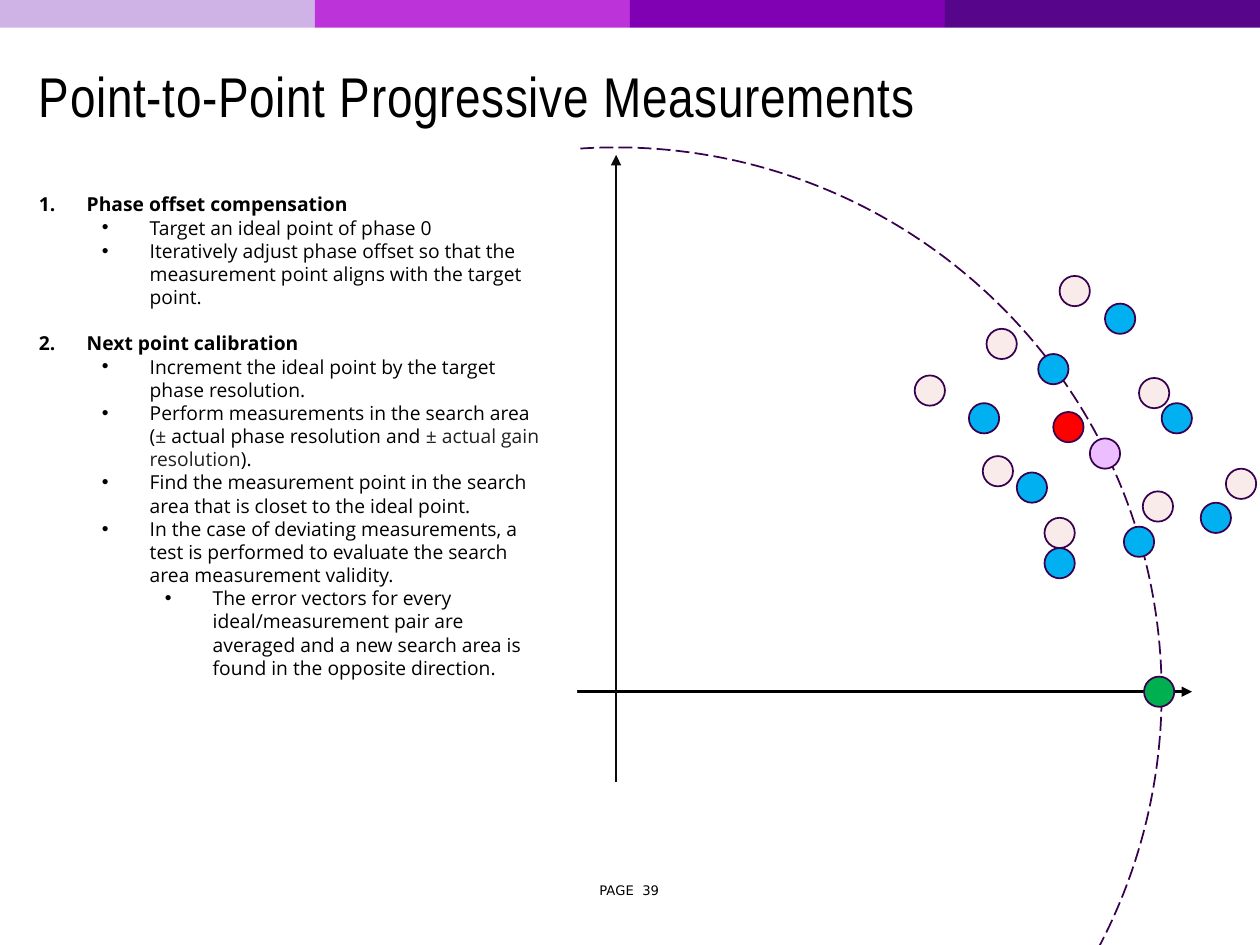
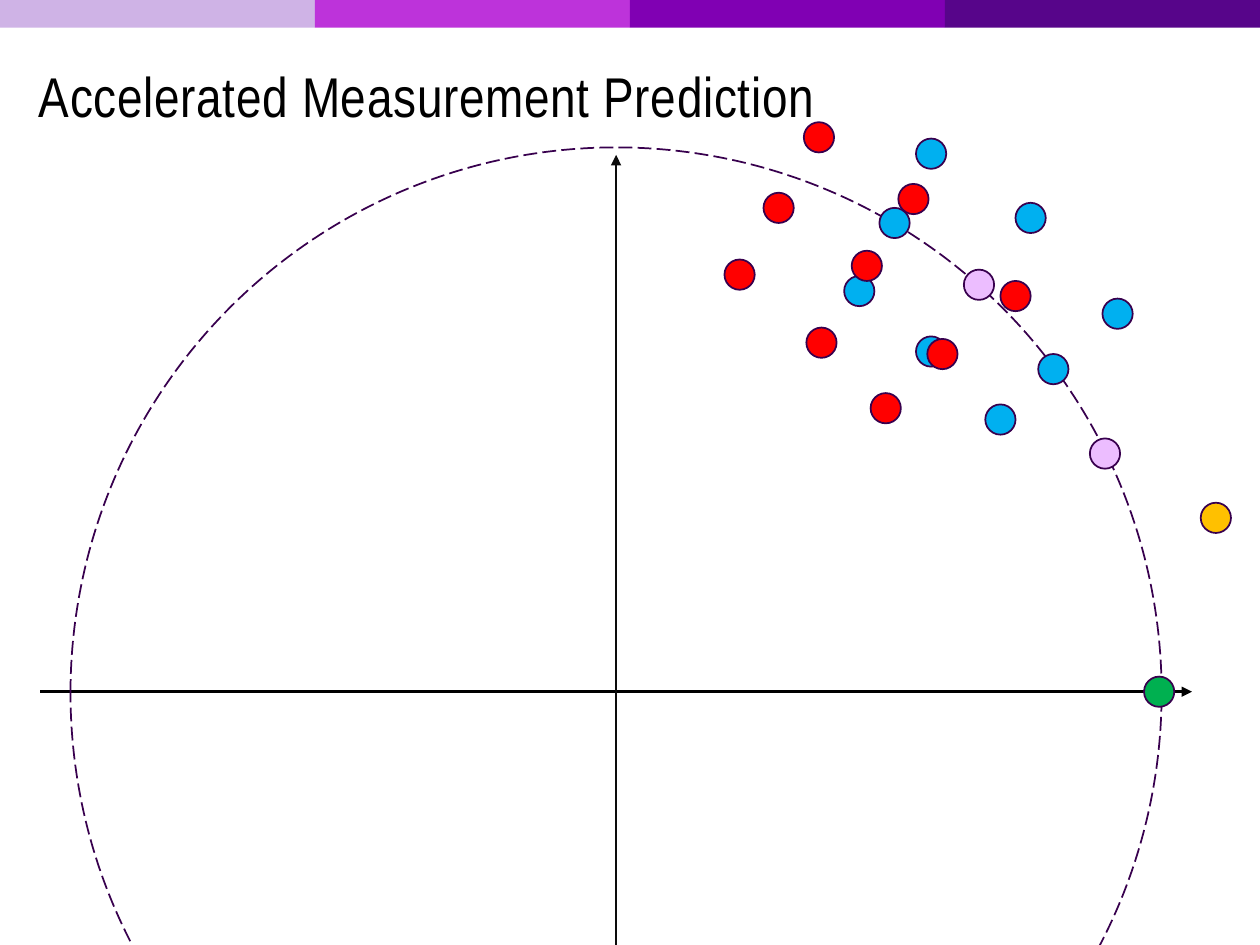
from dataclasses import dataclass

from lxml.etree import SubElement
from pptx import Presentation
from pptx.dml.color import RGBColor
from pptx.enum.dml import MSO_LINE
from pptx.enum.shapes import MSO_CONNECTOR, MSO_SHAPE
from pptx.enum.text import MSO_ANCHOR as Anchor, PP_ALIGN as Align
from pptx.oxml.ns import qn
from pptx.util import Inches, Pt

BLACK = RGBColor(0x00, 0x00, 0x00)
NEAR_BLACK = RGBColor(0x0C, 0x0C, 0x0C)
CHARCOAL = RGBColor(0x20, 0x21, 0x22)
WHITE = RGBColor(0xFF, 0xFF, 0xFF)
OUTLINE = RGBColor(0x38, 0x00, 0x4E)
GREEN = RGBColor(0x00, 0xB0, 0x50)
LILAC = RGBColor(0xEC, 0xBD, 0xFF)
BLUE = RGBColor(0x00, 0xB0, 0xF0)
BLUSH = RGBColor(0xFA, 0xEB, 0xEB)
RED = RGBColor(0xFF, 0x00, 0x00)
AMBER = RGBColor(0xFF, 0xC0, 0x00)
BAND_COLOURS = [
    RGBColor(0xCF, 0xB3, 0xE6),
    RGBColor(0xBD, 0x33, 0xDA),
    RGBColor(0x80, 0x00, 0xB3),
    RGBColor(0x57, 0x05, 0x8A),
]

TITLE_FONT, BODY_FONT, PAGE_FONT = "Arial Narrow", "Open Sans", "DejaVu Sans"
SLIDE_W, SLIDE_H = 10, 7.5
ORIGIN_X, ORIGIN_Y, RADIUS = 4.89, 5.5, 4.33
AXIS_TOP, AXIS_RIGHT = 1.23, 9.46
DOT = 0.24
BODY_LINE = Pt(13.23)


@dataclass
class DotGroup:
    """Dots of one colour, each given by its left and top."""
    colour: RGBColor
    spots: list[tuple[float, float]]


@dataclass
class Step:
    """One list entry; a number makes it a numbered heading."""
    level: int
    phrases: list[tuple[str, RGBColor]]
    number: int = 0


def heading(number: int, text: str) -> Step:
    return Step(0, [(text, BLACK)], number)


def point(text: str, level: int = 1) -> Step:
    return Step(level, [(text, BLACK)])


STEPS = [
    heading(1, "Phase offset compensation"),
    point("Target an ideal point of phase 0"),
    point("Iteratively adjust phase offset so that the measurement point "
          "aligns with the target point."),
    heading(2, "Next point calibration"),
    point("Increment the ideal point by the target phase resolution."),
    Step(1, [
        ("Perform measurements in the search area (", BLACK),
        ("±", CHARCOAL),
        (" actual phase resolution and ", BLACK),
        ("± actual gain resolution", CHARCOAL),
        (").", BLACK),
    ]),
    point("Find the measurement point in the search area that is closet to "
          "the ideal point."),
    point("In the case of deviating measurements, a test is performed to "
          "evaluate the search area measurement validity."),
    point("The error vectors for every ideal/measurement pair are averaged "
          "and a new search area is found in the opposite direction.", 2),
]

START_DOTS = [DotGroup(GREEN, [(9.08, 5.37)]), DotGroup(LILAC, [(8.65, 3.48)])]
PROGRESSIVE_DOTS = START_DOTS + [
    DotGroup(BLUE, [(7.69, 3.2), (8.92, 4.18), (8.29, 4.35), (8.07, 3.75),
                    (8.24, 2.81), (8.77, 2.41), (9.22, 3.2), (9.53, 3.99)]),
    DotGroup(BLUSH, [(7.26, 2.98), (7.83, 2.61), (8.41, 2.19), (7.8, 3.62),
                     (9.04, 3), (8.29, 4.11), (9.07, 3.9), (9.73, 3.72)]),
    DotGroup(RED, [(8.36, 3.27)]),
]
PREDICTION_DOTS = START_DOTS + [
    DotGroup(BLUE, [(7.82, 3.21), (7.27, 2.67), (6.7, 2.19), (8.75, 2.37),
                    (8.24, 2.81), (7.27, 1.1), (8.06, 1.61), (6.98, 1.65)]),
    DotGroup(RED, [(5.75, 2.06), (6.06, 1.53), (6.38, 0.97), (6.4, 2.6),
                   (7.13, 1.46), (6.76, 1.99), (6.91, 3.12), (7.36, 2.69),
                   (7.94, 2.23)]),
    DotGroup(LILAC, [(7.65, 2.14)]),
    DotGroup(AMBER, [(9.53, 3.99)]),
]


def add_figure(slide, kind, left: float, top: float, width: float, height: float,
               fill: RGBColor | None = None, line: RGBColor | None = None):
    figure = slide.shapes.add_shape(
        kind, Inches(left), Inches(top), Inches(width), Inches(height))
    figure.shadow.inherit = False
    if fill is None:
        figure.fill.background()
    else:
        figure.fill.solid()
        figure.fill.fore_color.rgb = fill
    if line is None:
        figure.line.fill.background()
    else:
        figure.line.color.rgb = line
        figure.line.width = Pt(1)
    return figure


def add_text_frame(slide, left: float, top: float, width: float, height: float,
                   anchor: Anchor = Anchor.TOP):
    box = slide.shapes.add_textbox(
        Inches(left), Inches(top), Inches(width), Inches(height))
    frame = box.text_frame
    frame.word_wrap = True
    frame.vertical_anchor = anchor
    return frame


def add_run(paragraph, text: str, font: str, size: float,
            colour: RGBColor = BLACK, bold: bool = False):
    run = paragraph.add_run()
    run.text = text
    run.font.name, run.font.size, run.font.bold = font, Pt(size), bold
    run.font.color.rgb = colour
    return run


def add_axis(slide, start: tuple[float, float], end: tuple[float, float],
             colour: RGBColor) -> None:
    axis = slide.shapes.add_connector(
        MSO_CONNECTOR.STRAIGHT, *(Inches(value) for value in start + end))
    axis.line.color.rgb = colour
    axis.line.width = Pt(1.5)
    SubElement(axis.line._get_or_add_ln(), qn("a:tailEnd"), type="triangle")
    SubElement(axis._element.spPr, qn("a:effectLst"))


def add_phase_plane(slide, axis_left: float, axis_bottom: float) -> None:
    """Both axes and the dashed circle of ideal points."""
    add_axis(slide, (axis_left, ORIGIN_Y - 0.01), (AXIS_RIGHT, ORIGIN_Y - 0.01), BLACK)
    add_axis(slide, (ORIGIN_X, axis_bottom), (ORIGIN_X, AXIS_TOP), NEAR_BLACK)
    circle = add_figure(slide, MSO_SHAPE.OVAL, ORIGIN_X - RADIUS, ORIGIN_Y - RADIUS,
                        2 * RADIUS, 2 * RADIUS, line=OUTLINE)
    circle.line.dash_style = MSO_LINE.LONG_DASH


def add_dots(slide, groups: list[DotGroup]) -> None:
    for group in groups:
        for left, top in group.spots:
            add_figure(slide, MSO_SHAPE.OVAL, left, top, DOT, DOT, group.colour, OUTLINE)


def add_steps(slide, steps: list[Step]) -> None:
    frame = add_text_frame(slide, 0.21, 1.48, 4.21, 4.36)
    for index, step in enumerate(steps):
        paragraph = frame.add_paragraph() if index else frame.paragraphs[0]
        paragraph.level = step.level
        paragraph.line_spacing = BODY_LINE
        if step.number > 1:
            paragraph.space_before = BODY_LINE
        properties = paragraph._p.get_or_add_pPr()
        properties.set("marL", str(Inches(0.38 + 0.5 * step.level)))
        properties.set("indent", str(-Inches(0.38)))
        if step.number:
            SubElement(properties, qn("a:buFont"), typeface="+mj-lt")
            SubElement(properties, qn("a:buAutoNum"), type="arabicPeriod",
                       startAt=str(step.number))
        else:
            SubElement(properties, qn("a:buFont"), typeface="Arial")
            SubElement(properties, qn("a:buChar"), char="•")
        for text, colour in step.phrases:
            add_run(paragraph, text, BODY_FONT, 11, colour, bold=step.number > 0)


def add_page_number(slide, label: str) -> None:
    frame = add_text_frame(slide, 4.58, 6.93, 0.83, 0.27, Anchor.MIDDLE)
    frame.paragraphs[0].alignment = Align.CENTER
    add_run(frame.paragraphs[0], label, PAGE_FONT, 7.5)


def add_base_slide(deck, title: str):
    """A blank slide with the colour band and the title."""
    slide = deck.slides.add_slide(deck.slide_layouts[6])
    band_width = SLIDE_W / len(BAND_COLOURS)
    for index, colour in enumerate(BAND_COLOURS):
        add_figure(slide, MSO_SHAPE.RECTANGLE, index * band_width, 0,
                   band_width, 0.22, colour)
    frame = add_text_frame(slide, 0.21, 0.31, 9.49, 0.98, Anchor.MIDDLE)
    frame.paragraphs[0].line_spacing = 0.85
    run = add_run(frame.paragraphs[0], title, TITLE_FONT, 32)
    run._r.get_or_add_rPr().set("spc", "40")
    return slide


def build_progressive(deck) -> None:
    slide = add_base_slide(deck, "Point-to-Point Progressive Measurements")
    add_page_number(slide, "PAGE  39")
    add_phase_plane(slide, axis_left=4.25, axis_bottom=6.21)
    # White panel keeps the left side of the circle clear for the list
    add_figure(slide, MSO_SHAPE.RECTANGLE, 0.23, 1.06, 4.35, 6.44, WHITE)
    add_dots(slide, PROGRESSIVE_DOTS)
    add_steps(slide, STEPS)


def build_prediction(deck) -> None:
    slide = add_base_slide(deck, "Accelerated Measurement Prediction")
    add_phase_plane(slide, axis_left=0.32, axis_bottom=SLIDE_H)
    add_dots(slide, PREDICTION_DOTS)


def main() -> None:
    deck = Presentation()
    deck.slide_width, deck.slide_height = Inches(SLIDE_W), Inches(SLIDE_H)
    build_progressive(deck)
    build_prediction(deck)
    deck.save("out.pptx")


if __name__ == "__main__":
    main()
